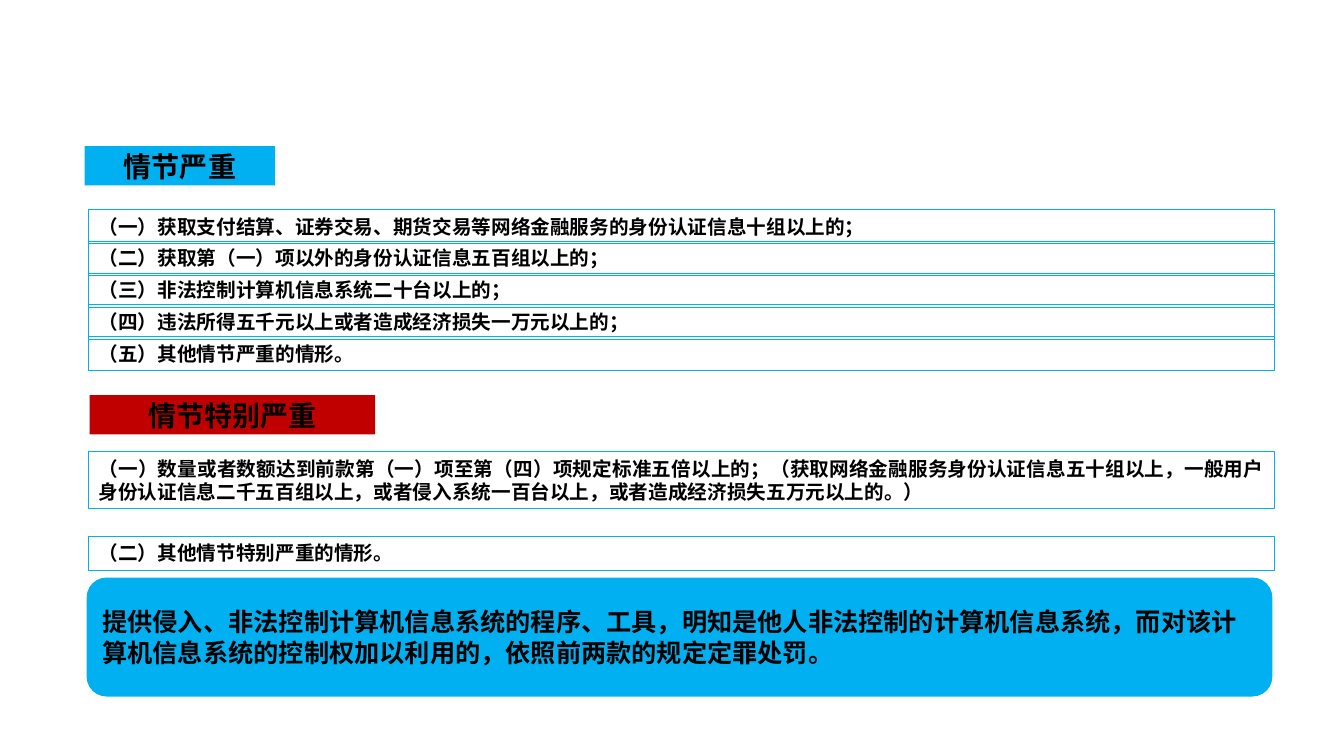
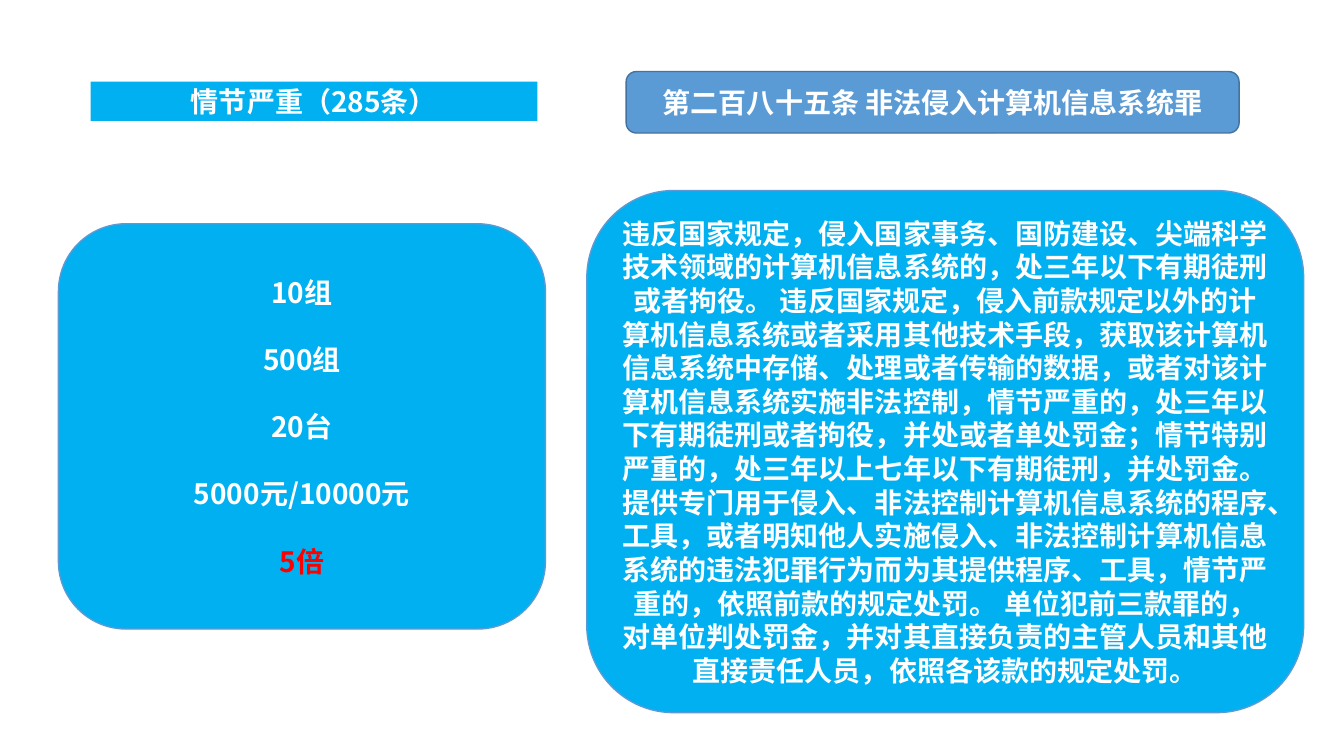
from pptx import Presentation
from pptx.dml.color import RGBColor
from pptx.enum import shapes, text
from pptx.oxml import ns
from pptx.util import Inches, Pt
from lxml import etree

CJK_FONT = "Noto Sans CJK SC"
LATIN_FONT = "Calibri"
SKY, RED, STEEL, STEEL_EDGE = "00B0F0", "C00000", "5B9BD5", "43739E"
BLACK, WHITE, BRIGHT_RED = "000000", "FFFFFF", "FF0000"

RECT = shapes.MSO_SHAPE.RECTANGLE
ROUND = shapes.MSO_SHAPE.ROUNDED_RECTANGLE
LEFT, CENTER, JUSTIFY = text.PP_ALIGN.LEFT, text.PP_ALIGN.CENTER, text.PP_ALIGN.JUSTIFY
TOP, MIDDLE = text.MSO_ANCHOR.TOP, text.MSO_ANCHOR.MIDDLE

ROW_LEFT, ROW_WIDTH, ROW_HEIGHT = 0.88, 11.76, 0.34
TAG_HEIGHT = 0.39

SERIOUS = [
    "（一）获取支付结算、证券交易、期货交易等网络金融服务的身份认证信息十组以上的；",
    "（二）获取第（一）项以外的身份认证信息五百组以上的；",
    "（三）非法控制计算机信息系统二十台以上的；",
    "（四）违法所得五千元以上或者造成经济损失一万元以上的；",
    "（五）其他情节严重的情形。",
]
VERY_SERIOUS = [
    "（一）数量或者数额达到前款第（一）项至第（四）项规定标准五倍以上的；"
    "（获取网络金融服务身份认证信息五十组以上，一般用户身份认证信息二千五百组以上，"
    "或者侵入系统一百台以上，或者造成经济损失五万元以上的。）",
    "（二）其他情节特别严重的情形。",
]
CONTROL_RULE = (
    "提供侵入、非法控制计算机信息系统的程序、工具，明知是他人非法控制的计算机信息系统，"
    "而对该计算机信息系统的控制权加以利用的，依照前两款的规定定罪处罚。"
)
THRESHOLDS = ["10组", "500组", "20台", "5000元/10000元", "5倍"]
ARTICLE = (
    "违反国家规定，侵入国家事务、国防建设、尖端科学技术领域的计算机信息系统的，"
    "处三年以下有期徒刑或者拘役。 "
    "违反国家规定，侵入前款规定以外的计算机信息系统或者采用其他技术手段，"
    "获取该计算机信息系统中存储、处理或者传输的数据，或者对该计算机信息系统实施非法控制，"
    "情节严重的，处三年以下有期徒刑或者拘役，并处或者单处罚金；"
    "情节特别严重的，处三年以上七年以下有期徒刑，并处罚金。 "
    "提供专门用于侵入、非法控制计算机信息系统的程序、工具，"
    "或者明知他人实施侵入、非法控制计算机信息系统的违法犯罪行为而为其提供程序、工具，"
    "情节严重的，依照前款的规定处罚。 "
    "单位犯前三款罪的，对单位判处罚金，并对其直接负责的主管人员和其他直接责任人员，"
    "依照各该款的规定处罚。"
)


def rgb(color):
    return RGBColor.from_string(color)


def style_run(r, size, color, font):
    r.font.size = Pt(size)
    r.font.bold = True
    r.font.color.rgb = rgb(color)
    r.font.name = font
    ea = etree.SubElement(r.font._element, ns.qn("a:ea"))
    ea.set("typeface", CJK_FONT)


def add_box(s, kind, box, lines, size=20, color=WHITE, font=CJK_FONT, fill=None,
            line=None, width=1, align=CENTER, anchor=MIDDLE, gap=0):
    sp = s.shapes.add_shape(kind, *map(Inches, box))
    sp.shadow.inherit = False
    if fill:
        sp.fill.solid()
        sp.fill.fore_color.rgb = rgb(fill)
    else:
        sp.fill.background()
    if line:
        sp.line.color.rgb = rgb(line)
        sp.line.width = Pt(width)
    else:
        sp.line.fill.background()
    tf = sp.text_frame
    tf.word_wrap = True
    tf.vertical_anchor = anchor
    tf.text = "\n".join(lines)
    for i, p in enumerate(tf.paragraphs):
        p.alignment = align
        if i and gap:
            p.space_before = Pt(gap)
        for r in p.runs:
            style_run(r, size, color, font)
    return sp


def add_tag(s, left, top, width, label, fill, color):
    add_box(s, RECT, (left, top, width, TAG_HEIGHT), [label], fill=fill, color=color)


def add_row(s, top, label, height=ROW_HEIGHT):
    add_box(s, RECT, (ROW_LEFT, top, ROW_WIDTH, height), [label], size=14, color=BLACK,
            line=SKY, width=0.75, align=JUSTIFY, anchor=TOP)


def add_panel(s, box, lines, **style):
    return add_box(s, ROUND, box, lines, **{"fill": SKY, "line": STEEL, **style})


def build_circumstances(s):
    add_tag(s, 0.84, 1.45, 1.89, "情节严重", SKY, BLACK)
    first, last = 2.08, 3.34
    step = (last - first) / (len(SERIOUS) - 1)
    for i, label in enumerate(SERIOUS):
        add_row(s, first + i * step, label)
    add_tag(s, 0.89, 3.92, 2.83, "情节特别严重", RED, BLACK)
    add_row(s, 4.48, VERY_SERIOUS[0], 0.57)
    add_row(s, 5.32, VERY_SERIOUS[1])
    add_panel(s, (0.86, 5.73, ROW_WIDTH, 1.18), [CONTROL_RULE], size=18, color=BLACK,
              line=None, align=LEFT)


def build_article(s):
    add_tag(s, 0.9, 0.81, 4.43, "情节严重（285条）", SKY, WHITE)
    sp = add_panel(s, (0.58, 2.22, 4.83, 4.02), THRESHOLDS, gap=24)
    sp.text_frame.paragraphs[-1].runs[0].font.color.rgb = rgb(BRIGHT_RED)
    add_panel(s, (6.21, 0.71, 6.08, 0.61), ["第二百八十五条 非法侵入计算机信息系统罪"],
              font=LATIN_FONT, fill=STEEL, line=STEEL_EDGE)
    add_panel(s, (5.82, 1.89, 7.11, 5.18), [ARTICLE], font=LATIN_FONT)


def main():
    prs = Presentation()
    prs.slide_width, prs.slide_height = Inches(13.33), Inches(7.5)
    for build in (build_circumstances, build_article):
        build(prs.slides.add_slide(prs.slide_layouts[6]))
    prs.save("out.pptx")


if __name__ == "__main__":
    main()
